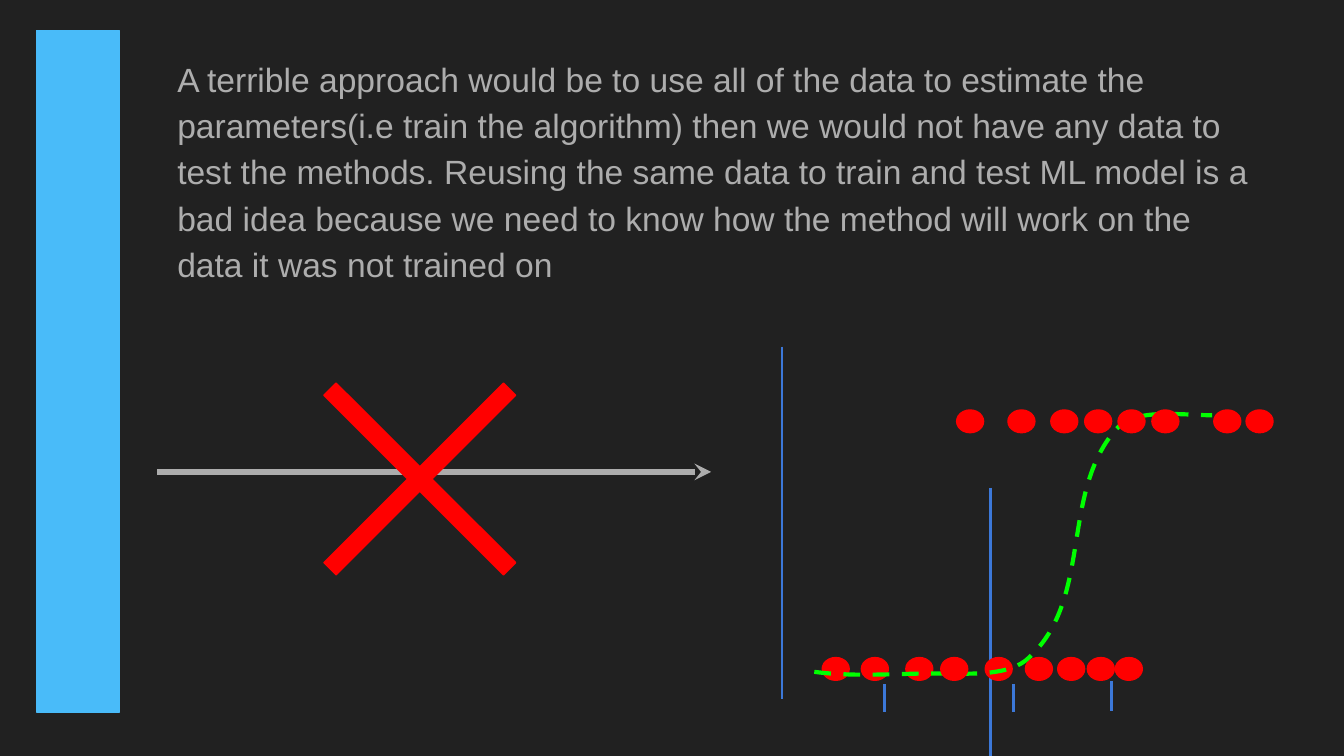
"""Build a slide on why all data should not go into training."""
from dataclasses import dataclass

from lxml import etree
from pptx import Presentation
from pptx import util as u
from pptx.dml.color import RGBColor
from pptx.enum import dml, shapes, text
from pptx.oxml import ns


@dataclass(frozen=True)
class Theme:
    """Colours, font and sizes of the slide."""
    back: str = "212121"
    grey: str = "ADADAD"
    sky: str = "49BBF9"
    blue: str = "3C78D8"
    red: str = "FF0000"
    green: str = "00FF00"
    font: str = "Arial"
    body: float = 18
    edge: float = 0.75
    axis: float = 1.5
    curve: float = 2.25
    arrow: float = 3


class Deck:
    """Hold the theme and the current slide."""

    def __init__(self, theme):
        """Open a deck with one dark slide."""
        self.theme = theme
        self.file = Presentation()
        self.file.slide_width, self.file.slide_height = u.Cm(25.4), u.Cm(14.29)
        self.slide = self.file.slides.add_slide(self.file.slide_layouts[1])
        title = self.slide.shapes.title.element
        title.getparent().remove(title)
        fill = self.slide.background.fill
        fill.solid()
        fill.fore_color.rgb = RGBColor.from_string(theme.back)

    def stroke(self, line, tint, width):
        """Set the colour and width of a line."""
        line.color.rgb = RGBColor.from_string(tint)
        line.width = u.Pt(width)

    def body(self, box, words):
        """Fill the body placeholder with one plain paragraph."""
        holder = self.slide.placeholders[1]
        holder.left, holder.top, holder.width, holder.height = map(u.Cm, box)
        frame = holder.text_frame
        frame.word_wrap = True
        frame.auto_size = text.MSO_AUTO_SIZE.NONE
        frame.vertical_anchor = text.MSO_ANCHOR.TOP
        frame.margin_left = frame.margin_right = u.Cm(0.25)
        frame.margin_top = frame.margin_bottom = u.Cm(0.25)
        frame.text = words
        para = frame.paragraphs[0]
        para.line_spacing = 1.15
        para.space_before, para.space_after = u.Pt(0), u.Pt(12)
        para.font.name, para.font.size = self.theme.font, u.Pt(self.theme.body)
        para.font.color.rgb = RGBColor.from_string(self.theme.grey)
        props = para._p.get_or_add_pPr()
        props.set("marL", "0")
        props.set("indent", "0")
        bullet = etree.Element(ns.qn("a:buNone"))
        props.find(ns.qn("a:defRPr")).addprevious(bullet)

    def shape(self, kind, box, tint):
        """Add a preset shape in one colour."""
        item = self.slide.shapes.add_shape(kind, *map(u.Cm, box))
        item.shadow.inherit = False
        item.fill.solid()
        item.fill.fore_color.rgb = RGBColor.from_string(tint)
        self.stroke(item.line, tint, self.theme.edge)
        return item

    def dots(self, top, lefts):
        """Add a row of data points."""
        for left in lefts:
            self.shape(shapes.MSO_SHAPE.OVAL, (left, top, 0.51, 0.43), self.theme.red)

    def line(self, start, end, tint, width, head=False):
        """Add a straight line, with an arrowhead if asked."""
        item = self.slide.shapes.add_connector(
            shapes.MSO_CONNECTOR.STRAIGHT, *map(u.Cm, (*start, *end)))
        self.stroke(item.line, tint, width)
        if head:
            etree.SubElement(item.line._get_or_add_ln(), ns.qn("a:tailEnd"), type="stealth")
        etree.SubElement(item.element.spPr, ns.qn("a:effectLst"))

    def curve(self, start, points):
        """Add a dashed curve of cubic segments, three points each."""
        pen = self.slide.shapes.build_freeform(*map(u.Cm, start))
        pen.add_line_segments([(u.Cm(x), u.Cm(y)) for x, y in points], close=False)
        item = pen.convert_to_shape()
        steps = list(item.element.iter(ns.qn("a:lnTo")))
        for i in range(0, len(steps), 3):
            bend = etree.Element(ns.qn("a:cubicBezTo"))
            steps[i].addprevious(bend)
            for step in steps[i:i + 3]:
                bend.append(step[0])
                step.getparent().remove(step)
        item.shadow.inherit = False
        item.fill.background()
        self.stroke(item.line, self.theme.green, self.theme.curve)
        item.line.dash_style = dml.MSO_LINE.DASH


def main():
    """Draw the slide and save it."""
    theme = Theme()
    deck = Deck(theme)
    deck.body((3.1, 0.74, 20.75, 5.28),
              "A terrible approach would be to use all of the data to estimate the "
              "parameters(i.e train the algorithm) then we would not have any data to "
              "test the methods. Reusing the same data to train and test ML model is a "
              "bad idea because we need to know how the method will work on the "
              "data it was not trained on")
    deck.shape(shapes.MSO_SHAPE.RECTANGLE, (0.69, 0.58, 1.57, 12.88), theme.sky)
    deck.line((2.97, 8.92), (13.44, 8.92), theme.grey, theme.arrow, head=True)

    axes = [(14.78, 6.55, 13.21), (18.72, 9.22, 17.17)]
    ticks = [(16.71, 12.93, 13.46), (19.15, 12.93, 13.46), (21.01, 12.88, 13.44),
             (14.78, 12.32, 12.98), (14.78, 7.62, 8.28)]
    for x, top, end in axes + ticks:
        deck.line((x, top), (x, end), theme.blue, theme.axis)

    high, low = 7.75, 12.43
    deck.dots(high, (18.08, 19.05, 19.86, 20.5, 22.94))
    deck.dots(low, (15.54, 16.28, 17.12, 18.62))
    deck.curve((15.39, 12.7), [
        (16.15, 12.8), (16.94, 12.73), (17.7, 12.73),
        (18.31, 12.73), (19.08, 12.8), (19.46, 12.42),
        (20.65, 11.3), (20.04, 9.35), (21.08, 8.13),
        (21.44, 7.7), (22.28, 7.85), (22.91, 7.85)])
    deck.dots(high, (21.13, 21.77, 23.55))
    deck.dots(low, (19.38, 19.99, 17.78, 20.55, 21.08))

    cross = deck.shape(shapes.MSO_SHAPE.MATH_MULTIPLY, (4.67, 5.79, 6.53, 6.53), theme.red)
    cross.adjustments[0] = 0.05
    deck.file.save("out.pptx")


if __name__ == "__main__":
    main()
